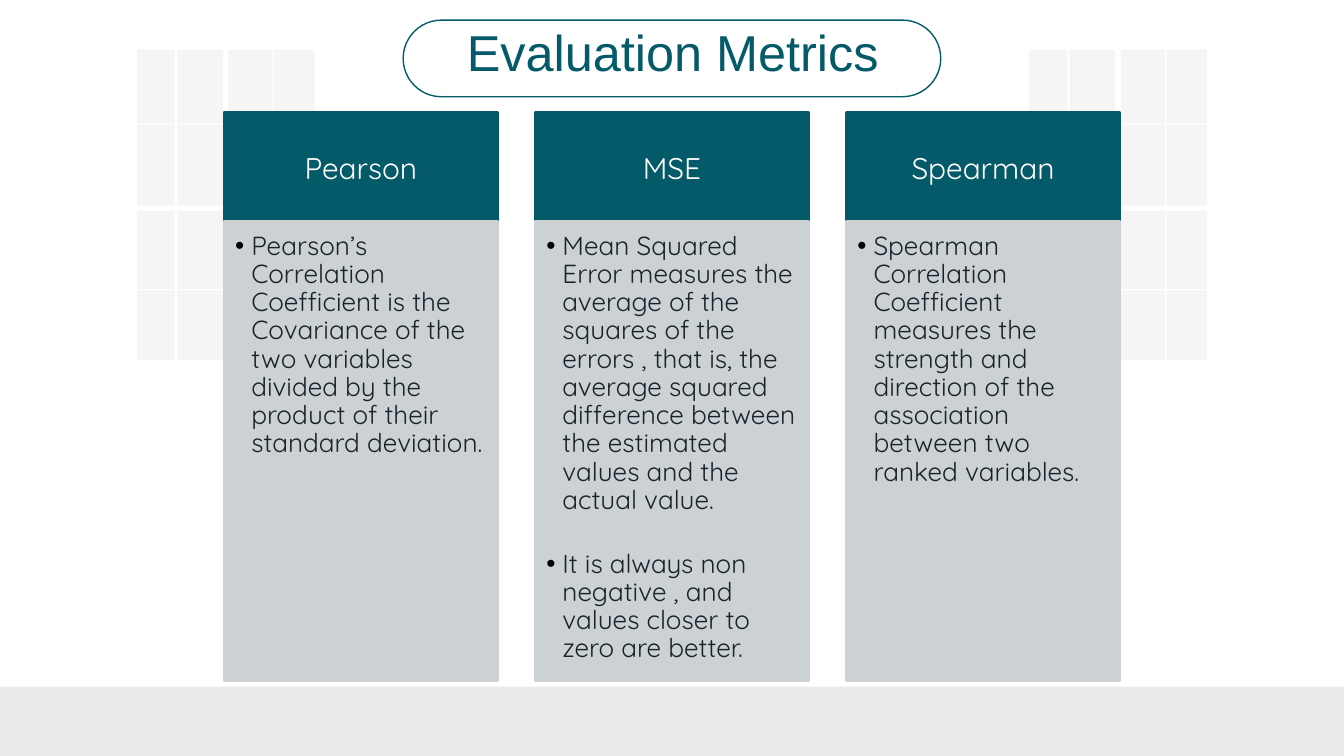
from lxml import etree
from pptx import Presentation
from pptx.dml.color import RGBColor
from pptx.enum.shapes import MSO_SHAPE
from pptx.enum.text import MSO_ANCHOR, MSO_AUTO_SIZE, PP_ALIGN
from pptx.oxml.ns import qn
from pptx.util import Inches, Pt

RECT, PILL = MSO_SHAPE.RECTANGLE, MSO_SHAPE.ROUNDED_RECTANGLE
MID, TOP = MSO_ANCHOR.MIDDLE, MSO_ANCHOR.TOP
LEFT, MIDDLE = PP_ALIGN.LEFT, PP_ALIGN.CENTER
FIXED = MSO_AUTO_SIZE.NONE

TITLE = "Evaluation Metrics"
CARDS = [
    ("Pearson", [
        "Pearson’s Correlation Coefficient is the Covariance of the two variables "
        "divided by the product of their standard deviation."]),
    ("MSE", [
        "Mean Squared Error measures the average of the squares of the errors , that is, "
        "the average squared difference between the estimated values and the actual value.",
        "It is always non negative , and values closer to zero are better."]),
    ("Spearman", [
        "Spearman Correlation Coefficient measures the strength and direction of the "
        "association between two ranked variables."]),
]
TEAL, GREY, INK, WHITE = "045A68", "CCD2D4", "1A232C", "FFFFFF"
PANE, FLOOR, DOT = "F5F5F5", "EBEBEB", "000000"
FONT = "Quicksand"

WIDE = 10
HIGH = WIDE * 9 / 16
PANE_COLS = [(0, 0.28), (0.3, 0.34), (0.68, 0.33), (1.02, 0.3)]
PANE_ROWS = [(0.37, 0.55), (0.93, 0.6), (1.57, 0.58), (2.16, 0.52)]
PANE_SIDES = [(1.02, (0, 1)), (7.66, (2, 3))]
CARD_LEFT, CARD_WIDE = 1.67, 2.03
CARD_STEP = (WIDE - 2 * CARD_LEFT - CARD_WIDE) / (len(CARDS) - 1)
HEAD_TOP, HEAD_HIGH, BODY_HIGH = 0.84, 0.81, 3.41


def color(code):
    return RGBColor.from_string(code)


def add_box(slide, kind, area, fill=None, line=None, width=0):
    box = slide.shapes.add_shape(kind, *map(Inches, area))
    box.shadow.inherit = False
    if fill:
        box.fill.solid()
        box.fill.fore_color.rgb = color(fill)
    else:
        box.fill.background()
    if line:
        box.line.color.rgb = color(line)
        box.line.width = Pt(width)
    else:
        box.line.fill.background()
    return box


def set_text(shape, lines, size, ink, font, align, anchor, pads):
    frame = shape.text_frame
    frame.word_wrap = True
    frame.auto_size = FIXED
    frame.vertical_anchor = anchor
    frame.margin_left, frame.margin_top, frame.margin_right, frame.margin_bottom = map(Inches, pads)
    frame.text = "\n".join(lines)
    for para in frame.paragraphs:
        para.alignment = align
        for run in para.runs:
            run.font.size = Pt(size)
            run.font.name = font
            run.font.color.rgb = color(ink)
    return frame.paragraphs


def add_bullet(para):
    props = para._p.get_or_add_pPr()
    props.set("marL", str(Inches(0.12)))
    props.set("indent", str(-Inches(0.12)))
    tint = etree.SubElement(props, qn("a:buClr"))
    etree.SubElement(tint, qn("a:srgbClr"), val=DOT)
    etree.SubElement(props, qn("a:buFont"), typeface="Arial")
    etree.SubElement(props, qn("a:buChar"), char="•")


def add_panes(slide):
    for start, inner in PANE_SIDES:
        for col, (left, width) in enumerate(PANE_COLS):
            rows = PANE_ROWS if col in inner else PANE_ROWS[:1]
            for top, height in rows:
                add_box(slide, RECT, (start + left, top, width, height), PANE)


def add_card(slide, left, name, notes):
    head = add_box(slide, RECT, (left, HEAD_TOP, CARD_WIDE, HEAD_HIGH), TEAL, TEAL, 2)
    set_text(head, [name], 16, WHITE, FONT, MIDDLE, MID, (0.12, 0.07, 0.12, 0.07))
    body = add_box(slide, RECT, (left, HEAD_TOP + HEAD_HIGH, CARD_WIDE, BODY_HIGH), GREY, GREY, 2)
    paras = set_text(body, notes, 14, INK, FONT, LEFT, TOP, (0.08, 0.08, 0.08, 0.1))
    for rank, para in enumerate(paras):
        para.line_spacing = 0.9
        para.space_before = Pt(19 if rank else 0)
        add_bullet(para)


def main():
    deck = Presentation()
    deck.slide_width, deck.slide_height = Inches(WIDE), Inches(HIGH)
    slide = deck.slides.add_slide(deck.slide_layouts[5])

    add_panes(slide)
    add_box(slide, RECT, (0, 5.11, WIDE, HIGH - 5.11), FLOOR)

    title = slide.shapes.title
    title.left, title.top, title.width, title.height = map(Inches, (0.79, 0.21, 8.43, 0.35))
    set_text(title, [TITLE], 27, TEAL, "Arial", MIDDLE, MID, (0.1, 0.1, 0.1, 0.1))
    pill = add_box(slide, PILL, (3, 0.15, 4, 0.57), None, TEAL, 0.75)
    pill.adjustments[0] = 0.5

    for rank, (name, notes) in enumerate(CARDS):
        add_card(slide, CARD_LEFT + rank * CARD_STEP, name, notes)
    deck.save("out.pptx")


if __name__ == "__main__":
    main()
